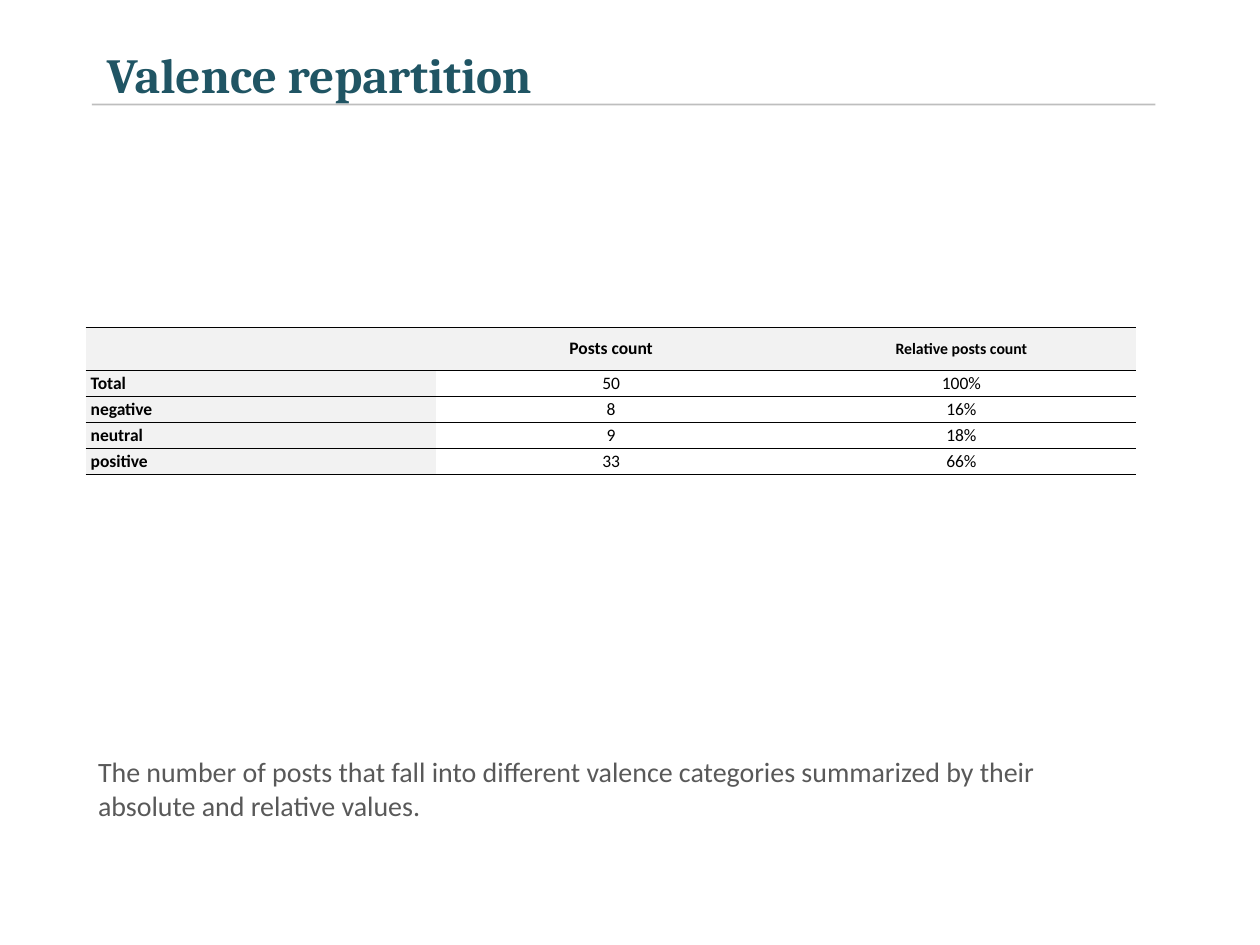
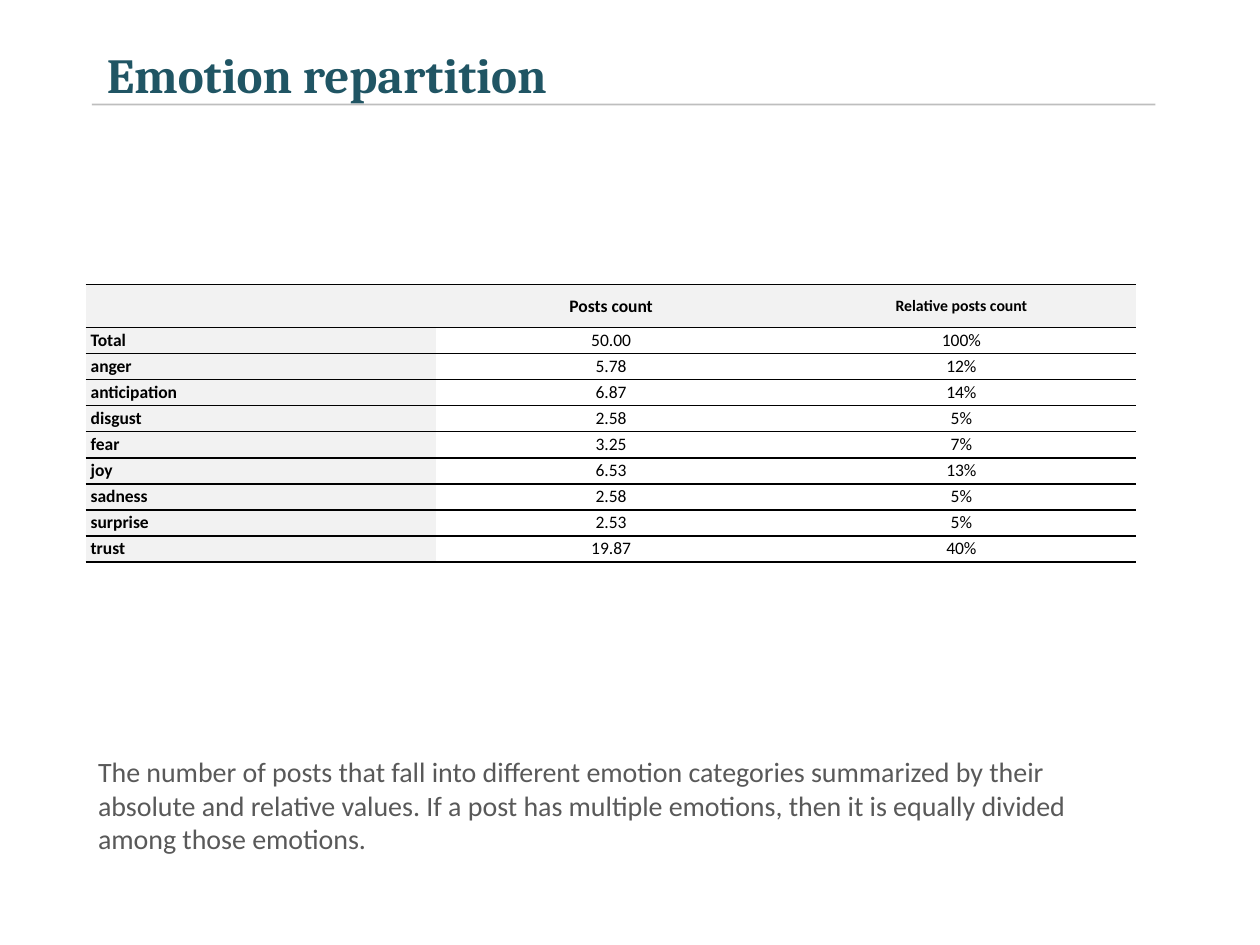
from dataclasses import dataclass

from lxml import etree
from pptx import Presentation
from pptx import util as u
from pptx.dml.color import RGBColor
from pptx.enum import shapes, text
from pptx.oxml import ns

PX = 9144


@dataclass(frozen=True)
class Theme:
    head: str = "Cambria"
    body: str = "Calibri"
    teal: str = "205564"
    rule: str = "7F7F7F"
    note: str = "595959"
    ink: str = "000000"
    band: str = "F2F2F2"
    white: str = "FFFFFF"
    title: int = 28
    text: int = 16
    cell: int = 10
    small: int = 9


class Deck:
    def __init__(self, theme):
        self.theme = theme
        self.file = Presentation()
        self.file.slide_width = 1000 * PX
        self.file.slide_height = 750 * PX
        self.slide = None

    def page(self):
        self.slide = self.file.slides.add_slide(self.file.slide_layouts[6])

    def style(self, para, words, size, color, face=None, bold=False):
        para.text = words
        font = para.font
        font.name = face or self.theme.body
        font.size = u.Pt(size)
        font.bold = bold
        font.color.rgb = RGBColor.from_string(color)

    def label(self, box, words, size, color, top=5, **kind):
        area = self.slide.shapes.add_textbox(*(n * PX for n in box))
        frame = area.text_frame
        frame.word_wrap = True
        frame.margin_top = top * PX
        self.style(frame.paragraphs[0], words, size, color, **kind)

    def title(self, words):
        t = self.theme
        self.label((75, 0, 833, 83), words, t.title, t.teal,
                   top=35, face=t.head, bold=True)
        self.line(73, 83, 917, 83)

    def line(self, *ends):
        link = self.slide.shapes.add_connector(
            shapes.MSO_CONNECTOR.STRAIGHT, *(n * PX for n in ends))
        link.line.width = u.Pt(1)
        link.line.color.rgb = RGBColor.from_string(self.theme.rule)
        tint = link.line._ln.find(".//" + ns.qn("a:srgbClr"))
        etree.SubElement(tint, ns.qn("a:alpha"), val="49000")
        etree.SubElement(link._element.spPr, ns.qn("a:effectLst"))

    def border(self, cell):
        props = cell._tc.get_or_add_tcPr()
        for side in "LRTB":
            edge = etree.SubElement(props, ns.qn("a:ln" + side), w=str(u.Pt(1)))
            if side in "LR":
                etree.SubElement(edge, ns.qn("a:noFill"))
            else:
                fill = etree.SubElement(edge, ns.qn("a:solidFill"))
                etree.SubElement(fill, ns.qn("a:srgbClr"), val=self.theme.ink)

    def cell(self, cell, words, row, col):
        t = self.theme
        edge = row == 0 or col == 0
        self.border(cell)
        cell.fill.solid()
        cell.fill.fore_color.rgb = RGBColor.from_string(t.band if edge else t.white)
        cell.vertical_anchor = text.MSO_ANCHOR.MIDDLE
        cell.margin_top = cell.margin_bottom = 2 * PX
        cell.margin_left = (0 if col else 4) * PX
        cell.margin_right = (0 if col else 2) * PX
        if words:
            para = cell.text_frame.paragraphs[0]
            if col:
                para.alignment = text.PP_ALIGN.CENTER
            size = t.small if (row, col) == (0, 2) else t.cell
            self.style(para, words, size, t.ink, bold=edge)

    def table(self, top, rows):
        rows = [("", "Posts count", "Relative posts count"), *rows]
        high = [34] + [20] * (len(rows) - 1)
        grid = self.slide.shapes.add_table(
            len(rows), 3, 68 * PX, top * PX, 834 * PX, sum(high) * PX).table
        grid.first_row = grid.horz_banding = False
        for col in grid.columns:
            col.width = 278 * PX
        for r, row in enumerate(rows):
            grid.rows[r].height = high[r] * PX
            for c, words in enumerate(row):
                self.cell(grid.cell(r, c), words, r, c)

    def note(self, words):
        self.label((68, 594, 833, 104), words, self.theme.text, self.theme.note)


PAGES = [
    ("Valence repartition", 260, [
        ("Total", "50", "100%"),
        ("negative", "8", "16%"),
        ("neutral", "9", "18%"),
        ("positive", "33", "66%"),
    ], "The number of posts that fall into different valence categories "
       "summarized by their absolute and relative values."),
    ("Emotion repartition", 226, [
        ("Total", "50.00", "100%"),
        ("anger", "5.78", "12%"),
        ("anticipation", "6.87", "14%"),
        ("disgust", "2.58", "5%"),
        ("fear", "3.25", "7%"),
        ("joy", "6.53", "13%"),
        ("sadness", "2.58", "5%"),
        ("surprise", "2.53", "5%"),
        ("trust", "19.87", "40%"),
    ], "The number of posts that fall into different emotion categories "
       "summarized by their absolute and relative values. If a post has multiple "
       "emotions, then it is equally divided among those emotions."),
]


def main():
    deck = Deck(Theme())
    for title, top, rows, note in PAGES:
        deck.page()
        deck.title(title)
        deck.table(top, rows)
        deck.note(note)
    deck.file.save("out.pptx")


if __name__ == "__main__":
    main()
